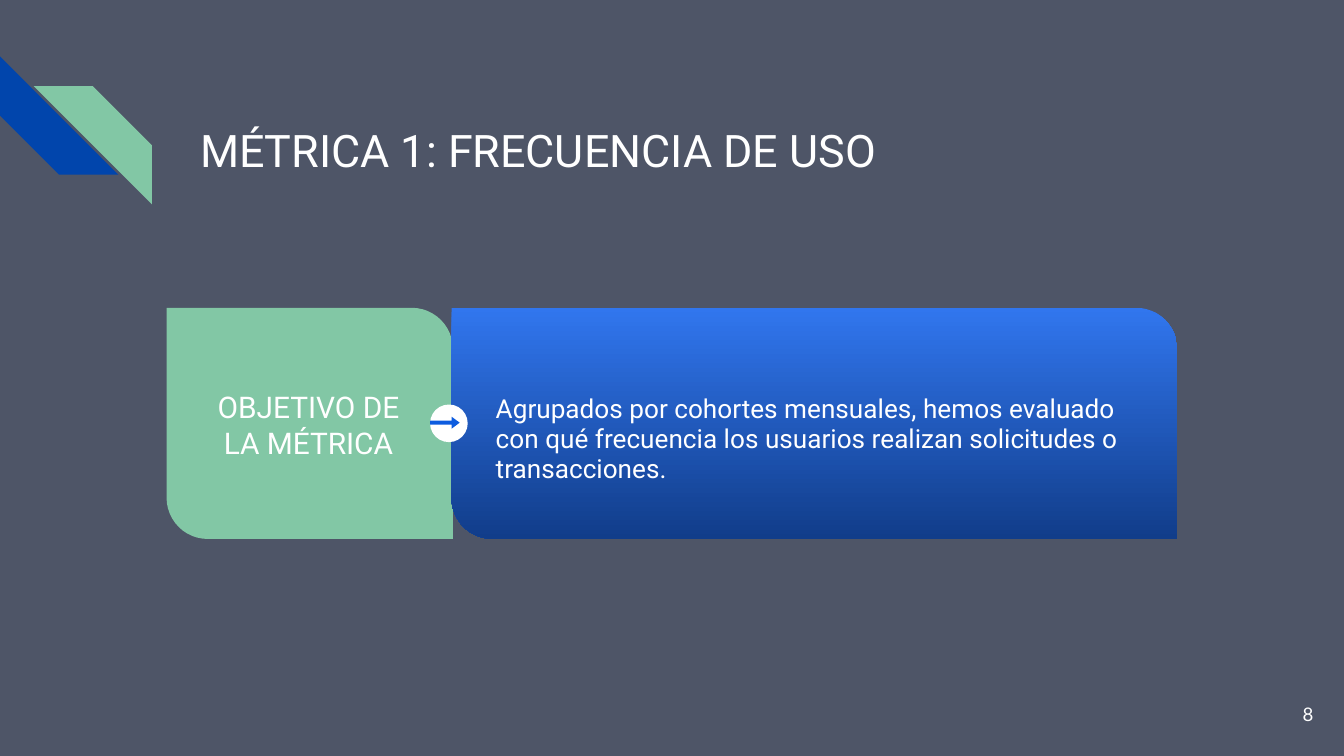
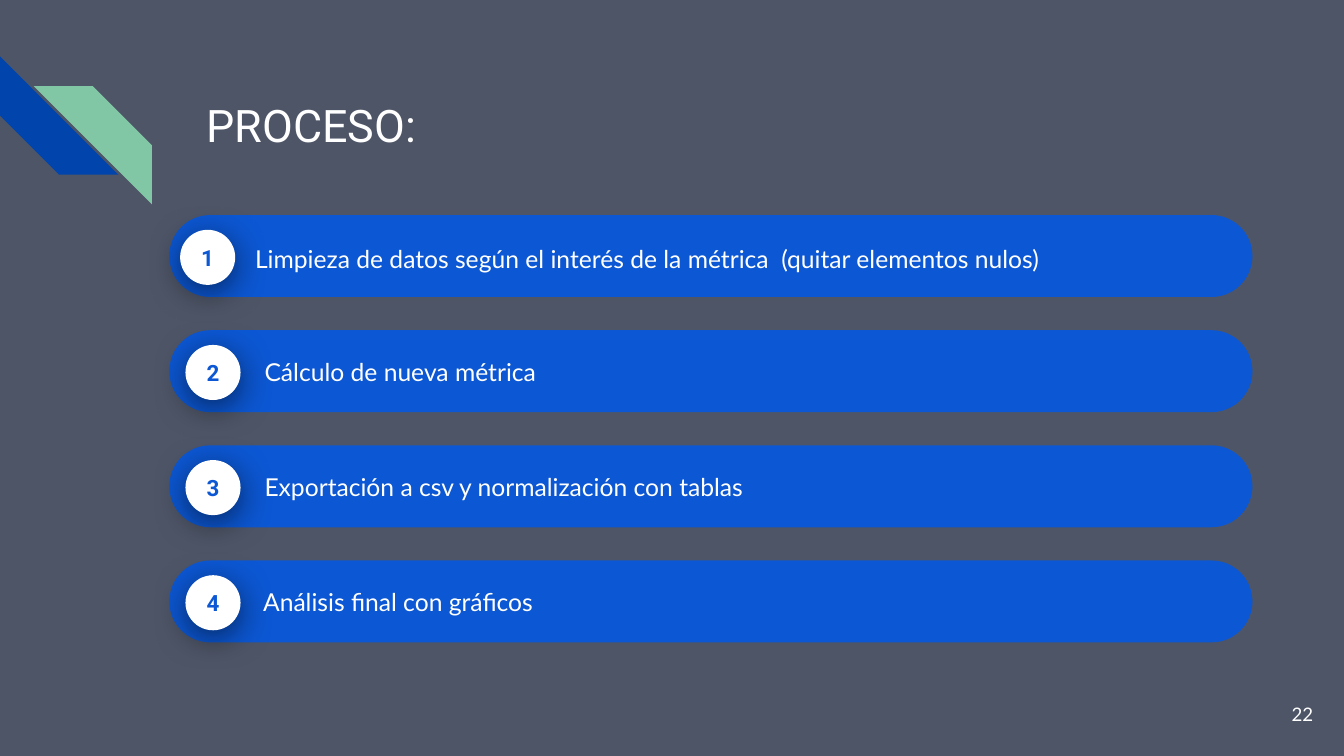
from lxml import etree
from pptx import Presentation
from pptx.dml.color import RGBColor
from pptx.enum.shapes import MSO_SHAPE
from pptx.enum.text import MSO_ANCHOR, PP_ALIGN
from pptx.oxml import parse_xml
from pptx.oxml.ns import nsdecls, qn
from pptx.util import Inches, Pt

STRIPE, DIAGONAL = MSO_SHAPE.DIAGONAL_STRIPE, MSO_SHAPE.ROUND_2_DIAG_RECTANGLE
OVAL, PILL, ARROW = MSO_SHAPE.OVAL, MSO_SHAPE.ROUNDED_RECTANGLE, MSO_SHAPE.RIGHT_ARROW
RECT = MSO_SHAPE.RECTANGLE
TOP, MIDDLE = MSO_ANCHOR.TOP, MSO_ANCHOR.MIDDLE
LEFT, CENTER, RIGHT = PP_ALIGN.LEFT, PP_ALIGN.CENTER, PP_ALIGN.RIGHT

SLATE, WHITE, GREEN = "4E5567", "FFFFFF", "82C7A5"
NAVY, BLUE, ARROW_BLUE = "0145AC", "0C57D3", "0D5CDF"
GRADIENT = ["3176EE", "113D8A"]

TITLE = {"name": "Roboto", "size": 24}
LABEL = {"name": "Roboto", "size": 16}
BODY = {"name": "Roboto", "size": 14}
STEP = {"name": "Lato", "size": 13.2}
NUMBER = {"name": "Roboto", "size": 12, "bold": True, "color": BLUE}
FOOTER = {"name": "Lato", "size": 10}

METRIC = {
    "title": "MÉTRICA 1: FRECUENCIA DE USO",
    "label": "OBJETIVO DE LA MÉTRICA",
    "goal": "Agrupados por cohortes mensuales, hemos evaluado con qué frecuencia "
            "los usuarios realizan solicitudes o transacciones.",
    "page": 8,
}
# Text, left of the badge, left of the text, downward shift of the text
STEPS = [
    ("Limpieza de datos según el interés de la métrica  (quitar elementos nulos)", 1.34, 1.8, 0.02),
    ("Cálculo de nueva métrica", 1.38, 1.87, 0),
    ("Exportación a csv y normalización con tablas", 1.38, 1.87, 0),
    ("Análisis final con gráficos", 1.38, 1.86, 0),
]
PROCESS = {"title": "PROCESO:", "steps": STEPS, "page": 22}

PILL_LEFT, PILL_W, PILL_H = 1.26, 8.06, 0.61
FIRST_TOP, LAST_TOP = 1.6, 4.17
PILL_PITCH = (LAST_TOP - FIRST_TOP) / (len(STEPS) - 1)
BADGE, BADGE_INSET = 0.41, 0.11
STEP_W, STEP_H = 7.2, 0.43


def rgb(color):
    return RGBColor.from_string(color)


def add_shape(s, kind, box, fill, adj=()):
    """Add a shape without outline; a list of two colours fills it top to bottom."""
    sp = s.shapes.add_shape(kind, *map(Inches, box))
    sp.shadow.inherit = False
    sp.line.fill.background()
    for i, value in enumerate(adj):
        sp.adjustments[i] = value
    if isinstance(fill, list):
        sp.fill.gradient()
        sp.fill.gradient_angle = 270
        for i, color in enumerate(fill):
            stop = sp.fill.gradient_stops[i]
            stop.color.rgb = rgb(color)
            stop.position = i
    else:
        sp.fill.solid()
        sp.fill.fore_color.rgb = rgb(fill)
    return sp


def write(sp, text, style, align=LEFT, anchor=TOP, inset=0.1):
    tf = sp.text_frame
    tf.word_wrap = True
    tf.vertical_anchor = anchor
    for side in ("left", "top", "right", "bottom"):
        setattr(tf, f"margin_{side}", Inches(inset))
    p = tf.paragraphs[0]
    p.alignment = align
    r = p.add_run()
    r.text = text
    for key, value in style.items():
        if key == "color":
            continue
        setattr(r.font, key, Pt(value) if key == "size" else value)
    r.font.color.rgb = rgb(style.get("color", WHITE))
    return p


def add_text(s, box, text, style, **layout):
    return write(s.shapes.add_textbox(*map(Inches, box)), text, style, **layout)


def drop_shadow(sp):
    effects = sp._element.spPr.find(qn("a:effectLst"))
    shadow = parse_xml(
        f'<a:outerShdw {nsdecls("a")} blurRad="{Pt(18)}" dist="{Pt(4)}" dir="5400000" '
        'algn="t" rotWithShape="0"/>')
    color = etree.SubElement(shadow, qn("a:srgbClr"), val="000000")
    etree.SubElement(color, qn("a:alpha"), val="55000")
    effects.append(shadow)


def new_slide(prs, content, title_box):
    """Add a slide with the shared background, corner stripes, title and page number."""
    s = prs.slides.add_slide(prs.slide_layouts[6])
    s.background.fill.solid()
    s.background.fill.fore_color.rgb = rgb(SLATE)
    add_shape(s, STRIPE, (0, 0.42, 0.88, 0.88), NAVY, [0.5]).rotation = 270
    sp = add_shape(s, STRIPE, (0.25, 0.64, 0.88, 0.88), GREEN, [0.5])
    sp._element.spPr.find(qn("a:xfrm")).set("flipH", "1")
    add_text(s, title_box, content["title"], TITLE)
    add_text(s, (9.27, 5.1, 0.6, 0.43), str(content["page"]), FOOTER, align=RIGHT, anchor=MIDDLE)
    return s


def build_metric(prs):
    s = new_slide(prs, METRIC, (1.39, 0.81, 7.7, 0.75))
    add_shape(s, DIAGONAL, (1.24, 2.29, 2.13, 1.72), GREEN, [0, 0.178])
    label = add_shape(s, RECT, (1.5, 2.79, 1.59, 0.71), GREEN)
    write(label, METRIC["label"], LABEL, align=CENTER)
    add_shape(s, DIAGONAL, (3.36, 2.29, 5.4, 1.72), GRADIENT, [0, 0.178])
    p = add_text(s, (3.59, 2.84, 4.95, 0.86), METRIC["goal"], BODY)
    p.line_spacing = 0.95
    p.space_after = Pt(12)
    add_shape(s, OVAL, (3.2, 3.01, 0.28, 0.28), WHITE)
    add_shape(s, ARROW, (3.2, 3.1, 0.22, 0.09), ARROW_BLUE, [0.32, 0.67])


def build_process(prs):
    s = new_slide(prs, PROCESS, (1.44, 0.63, 7.7, 0.61))
    for i, (text, badge_left, text_left, shift) in enumerate(PROCESS["steps"]):
        top = FIRST_TOP + i * PILL_PITCH
        add_shape(s, PILL, (PILL_LEFT, top, PILL_W, PILL_H), BLUE, [0.5])
        badge = add_shape(s, OVAL, (badge_left, top + BADGE_INSET, BADGE, BADGE), WHITE)
        drop_shadow(badge)
        write(badge, str(i + 1), NUMBER, align=CENTER, anchor=MIDDLE, inset=0)
        text_top = top + (PILL_H - STEP_H) / 2 + shift
        add_text(s, (text_left, text_top, STEP_W, STEP_H), text, STEP, anchor=MIDDLE)


def main():
    prs = Presentation()
    prs.slide_width = Inches(10)
    prs.slide_height = prs.slide_width * 9 // 16
    build_metric(prs)
    build_process(prs)
    prs.save("out.pptx")


if __name__ == "__main__":
    main()
